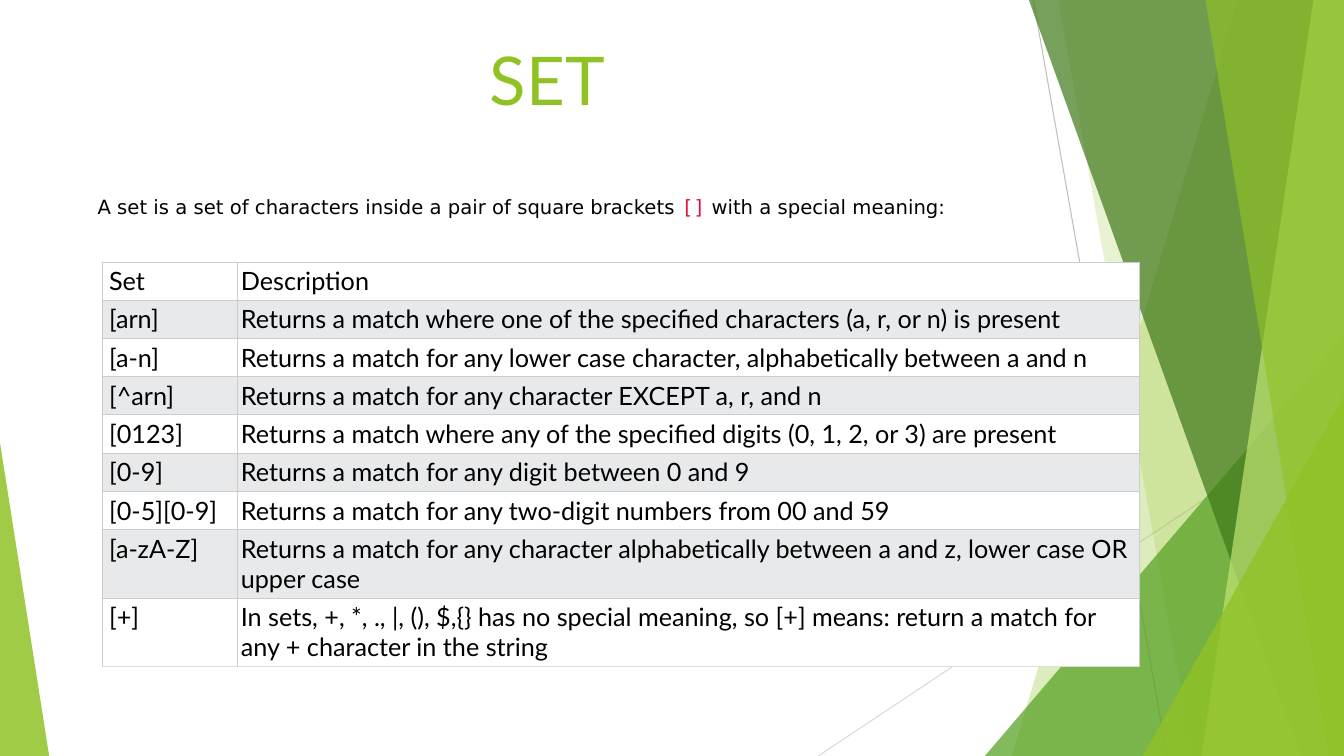
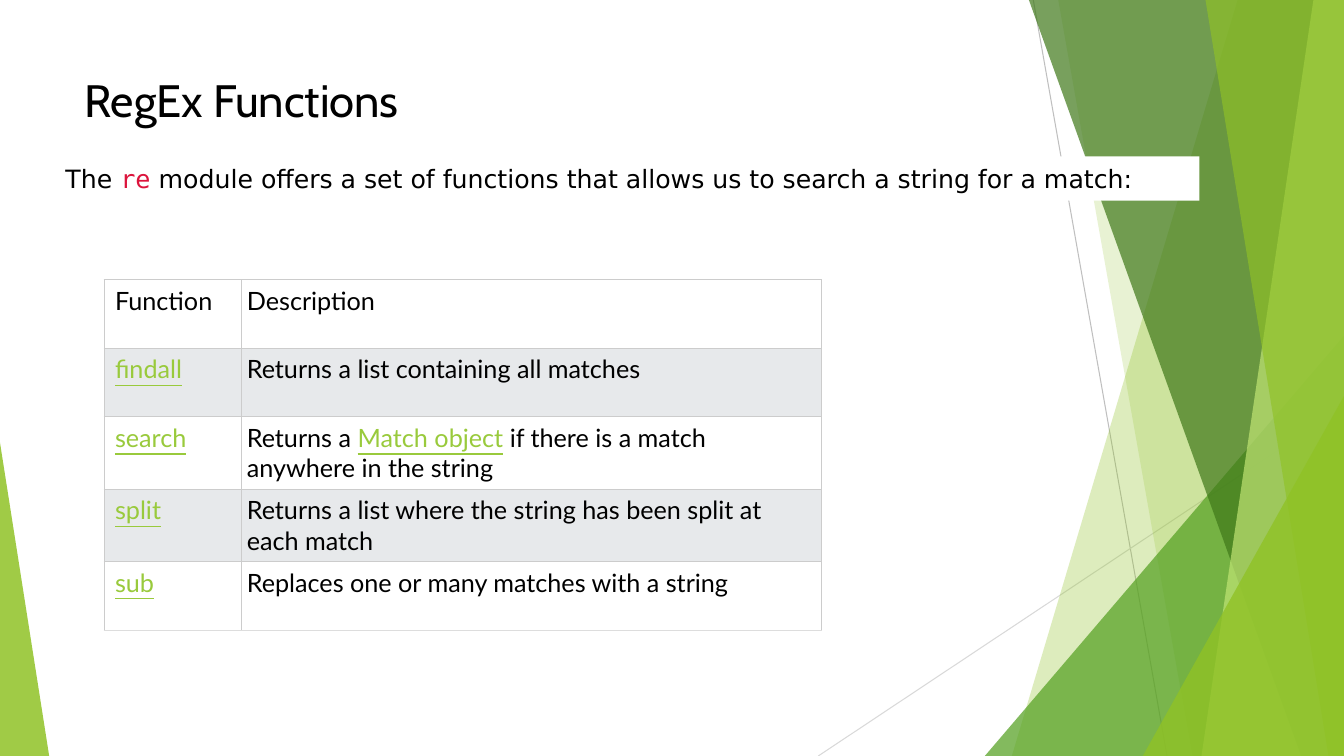
from lxml.etree import SubElement
from pptx import Presentation
from pptx.dml.color import RGBColor
from pptx.enum.shapes import MSO_CONNECTOR as Connector, MSO_SHAPE as Shape
from pptx.enum.text import MSO_ANCHOR as Anchor, PP_ALIGN as Align
from pptx.oxml.ns import qn
from pptx.util import Cm, Pt

WIDTH = Cm(33.87)
HEIGHT = Cm(19.05)

WHITE = RGBColor(0xFF, 0xFF, 0xFF)
BLACK = RGBColor(0x00, 0x00, 0x00)
GREEN = RGBColor(0x90, 0xC2, 0x26)
MID_GREEN = RGBColor(0x54, 0xA0, 0x21)
DARK_GREEN = RGBColor(0x3F, 0x78, 0x19)
PALE_GREEN = RGBColor(0xC0, 0xE4, 0x74)
LINK_GREEN = RGBColor(0x99, 0xCA, 0x3C)
CRIMSON = RGBColor(0xDC, 0x14, 0x3C)
BAND_GRAY = RGBColor(0xE7, 0xE9, 0xEB)
BORDER_GRAY = RGBColor(0xCC, 0xCC, 0xCC)
LAST_BORDER_GRAY = RGBColor(0xDD, 0xDD, 0xDD)
RAY_GRAY = RGBColor(0xBF, 0xBF, 0xBF)
LIGHT_RAY_GRAY = RGBColor(0xD9, 0xD9, 0xD9)

BODY_FONT = "Lato"
TITLE_FONT = "Cabin"
INTRO_FONT = "DejaVu Sans"
CODE = {"font": "DejaVu Sans Mono", "color": CRIMSON}
LINK = {"color": LINK_GREEN, "underline": True}

SET_ROWS = [
    ("Set", "Description"),
    ("[arn]", "Returns a match where one of the specified characters (a, r, or n) is present"),
    ("[a-n]", "Returns a match for any lower case character, alphabetically between a and n"),
    ("[^arn]", "Returns a match for any character EXCEPT a, r, and n"),
    ("[0123]", "Returns a match where any of the specified digits (0, 1, 2, or 3) are present"),
    ("[0-9]", "Returns a match for any digit between 0 and 9"),
    ("[0-5][0-9]", "Returns a match for any two-digit numbers from 00 and 59"),
    ("[a-zA-Z]", "Returns a match for any character alphabetically between a and z, "
                 "lower case OR upper case"),
    ("[+]", "In sets, +, *, ., |, (), $,{} has no special meaning, so [+] means: "
            "return a match for any + character in the string"),
]

FUNCTION_ROWS = [
    ("Function", "Description"),
    ([("findall", LINK)], "Returns a list containing all matches"),
    ([("search", LINK)], [("Returns a ", {}), ("Match object", LINK),
                          (" if there is a match anywhere in the string", {})]),
    ([("split", LINK)], "Returns a list where the string has been split at each match"),
    ([("sub", LINK)], "Replaces one or many matches with a string"),
]


def write_text(frame, text, size=18, font=BODY_FONT, color=BLACK, align=Align.LEFT,
               anchor=Anchor.TOP):
    frame.word_wrap = True
    frame.vertical_anchor = anchor
    paragraph = frame.paragraphs[0]
    paragraph.alignment = align
    runs = [(text, {})] if isinstance(text, str) else text
    for words, style in runs:
        run = paragraph.add_run()
        run.text = words
        run.font.size = Pt(size)
        run.font.name = style.get("font", font)
        run.font.color.rgb = style.get("color", color)
        run.font.underline = style.get("underline", False)


def add_text_box(slide, left, top, width, height, text, **text_format):
    box = slide.shapes.add_textbox(Cm(left), Cm(top), Cm(width), Cm(height))
    write_text(box.text_frame, text, **text_format)


def paint(shape, color, opacity=100):
    shape.shadow.inherit = False
    shape.line.fill.background()
    shape.fill.solid()
    shape.fill.fore_color.rgb = color
    if opacity < 100:
        color_element = shape._element.spPr.find(qn("a:solidFill"))[0]
        SubElement(color_element, qn("a:alpha"), val=str(opacity * 1000))


def add_ray(slide, start, end, color):
    ray = slide.shapes.add_connector(
        Connector.STRAIGHT, Cm(start[0]), Cm(start[1]), Cm(end[0]), Cm(end[1]))
    ray.line.color.rgb = color
    ray.line.width = Pt(0.75)
    SubElement(ray._element.spPr, qn("a:effectLst"))


def add_shard(slide, top_left, bottom_left, color, opacity):
    builder = slide.shapes.build_freeform(Cm(top_left), 0)
    builder.add_line_segments(
        [(WIDTH, 0), (WIDTH, HEIGHT), (Cm(bottom_left), HEIGHT)], close=True)
    paint(builder.convert_to_shape(), color, opacity)


def add_corner(slide, left, top, right, apex, color, opacity):
    triangle = slide.shapes.add_shape(
        Shape.ISOSCELES_TRIANGLE, left, top, right - left, HEIGHT - top)
    triangle.adjustments[0] = apex
    paint(triangle, color, opacity)


def add_backdrop(slide):
    add_ray(slide, (26.04, 0), (29.41, 19.05), RAY_GRAY)
    add_ray(slide, (33.87, 10.24), (20.62, 19.05), LIGHT_RAY_GRAY)
    add_shard(slide, 31.19, 25.5, GREEN, 30)
    add_shard(slide, 26.67, 30.05, GREEN, 20)
    add_corner(slide, Cm(24.82), Cm(8.46), WIDTH, 1, MID_GREEN, 72)
    add_shard(slide, 25.93, 32.79, DARK_GREEN, 70)
    add_shard(slide, 33.1, 30.28, PALE_GREEN, 70)
    add_shard(slide, 30.38, 33.48, GREEN, 65)
    add_corner(slide, Cm(28.8), Cm(9.98), WIDTH, 1, GREEN, 80)
    add_corner(slide, 0, Cm(11.15), Cm(1.24), 0, GREEN, 85)


def set_borders(cell, bottom_color):
    properties = cell._tc.get_or_add_tcPr()
    for side in ("L", "R", "T", "B"):
        line = SubElement(properties, qn(f"a:ln{side}"), w=str(Pt(0.5)))
        fill = SubElement(line, qn("a:solidFill"))
        color = bottom_color if side == "B" else BORDER_GRAY
        SubElement(fill, qn("a:srgbClr"), val=str(color))


def add_grid(slide, left, top, column_widths, row_heights, rows, padding, first_padding):
    frame = slide.shapes.add_table(
        len(rows), len(column_widths), Cm(left), Cm(top),
        Cm(sum(column_widths)), Cm(sum(row_heights)))
    table = frame.table
    table.first_row = False
    table.horz_banding = False
    for column, width in zip(table.columns, column_widths):
        column.width = Cm(width)
    for row, height in zip(table.rows, row_heights):
        row.height = Cm(height)
    for row_index, row in enumerate(rows):
        last = row_index == len(rows) - 1
        for column_index, text in enumerate(row):
            cell = table.cell(row_index, column_index)
            set_borders(cell, LAST_BORDER_GRAY if last else BORDER_GRAY)
            cell.fill.solid()
            cell.fill.fore_color.rgb = BAND_GRAY if row_index % 2 else WHITE
            cell.margin_left = Cm(padding if column_index else first_padding)
            cell.margin_right = cell.margin_top = cell.margin_bottom = Cm(padding)
            write_text(cell.text_frame, text)


def add_banner(slide, left, top, width, height, text, **text_format):
    banner = slide.shapes.add_shape(
        Shape.RECTANGLE, Cm(left), Cm(top), Cm(width), Cm(height))
    paint(banner, WHITE)
    frame = banner.text_frame
    frame.margin_left = frame.margin_right = 0
    frame.margin_top = frame.margin_bottom = Cm(0.18)
    write_text(frame, text, **text_format)


def add_slide(presentation):
    slide = presentation.slides.add_slide(presentation.slide_layouts[6])
    add_backdrop(slide)
    return slide


def build_set_slide(presentation):
    slide = add_slide(presentation)
    add_text_box(slide, 2.29, 0.08, 23.01, 3.05, "SET", size=48, color=GREEN,
                 align=Align.CENTER, anchor=Anchor.BOTTOM)
    add_grid(slide, 2.57, 6.6, [3.4, 22.73], [0.89] * 7 + [1.45] * 2, SET_ROWS,
             padding=0.1, first_padding=0.18)
    intro = [("A set is a set of characters inside a pair of square brackets ", {}),
             ("[]", CODE), (" with a special meaning:", {})]
    add_text_box(slide, 2.21, 4.78, 22.5, 0.86, intro, size=14, font=INTRO_FONT,
                 anchor=Anchor.MIDDLE)


def build_functions_slide(presentation):
    slide = add_slide(presentation)
    add_text_box(slide, 1.88, 1.7, 25.04, 2.26, "RegEx Functions", size=32.4,
                 font=TITLE_FONT)
    add_grid(slide, 2.62, 7.04, [3.45, 14.63], [1.73] * 5, FUNCTION_ROWS,
             padding=0.15, first_padding=0.28)
    intro = [("The ", {}), ("re", CODE),
             (" module offers a set of functions that allows us to search "
              "a string for a match:", {})]
    add_banner(slide, 1.65, 3.94, 28.58, 1.12, intro, font=INTRO_FONT,
               anchor=Anchor.MIDDLE)


def main():
    presentation = Presentation()
    presentation.slide_width = WIDTH
    presentation.slide_height = HEIGHT
    build_set_slide(presentation)
    build_functions_slide(presentation)
    presentation.save("out.pptx")


if __name__ == "__main__":
    main()
